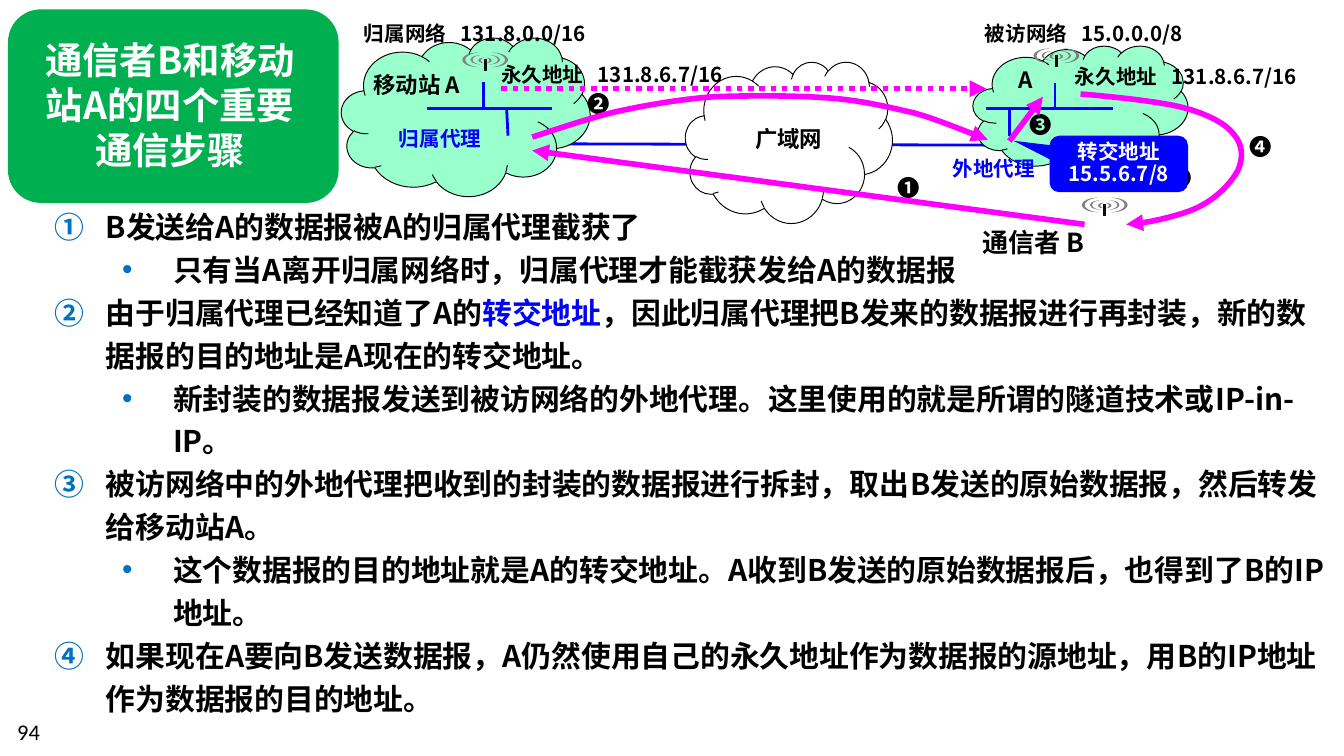
from lxml import etree
from pptx import Presentation
from pptx.dml.color import RGBColor
from pptx.enum.dml import MSO_LINE
from pptx.enum.shapes import MSO_CONNECTOR, MSO_SHAPE
from pptx.enum.text import MSO_ANCHOR, PP_ALIGN
from pptx.oxml.ns import qn
from pptx.util import Inches, Pt

LEFT, CENTER = PP_ALIGN.LEFT, PP_ALIGN.CENTER
MIDDLE = MSO_ANCHOR.MIDDLE
STRAIGHT = MSO_CONNECTOR.STRAIGHT
DOTS = MSO_LINE.ROUND_DOT
ROUND, CLOUD, MOON = MSO_SHAPE.ROUNDED_RECTANGLE, MSO_SHAPE.CLOUD, MSO_SHAPE.MOON
CALLOUT = MSO_SHAPE.ROUNDED_RECTANGULAR_CALLOUT

HEI = "Noto Sans CJK SC"
COLORS = {
    "black": "000000", "white": "FFFFFF", "green": "00B050", "mint": "99FFCC",
    "blue": "0000FF", "bullet": "0070C0", "pink": "FF00FF", "gray": "808080",
    "pole": "0D0D0D",
}

TITLE = "通信者B和移动站A的四个重要通信步骤"
# level, runs of (text, color)
STEPS = [
    (0, [("B发送给A的数据报被A的归属代理截获了", "black")]),
    (1, [("只有当A离开归属网络时，归属代理才能截获发给A的数据报", "black")]),
    (0, [("由于归属代理已经知道了A的", "black"), ("转交地址", "blue"),
         ("，因此归属代理把B发来的数据报进行再封装，新的数据报的目的地址是A现在的转交地址。",
          "black")]),
    (1, [("新封装的数据报发送到被访网络的外地代理。这里使用的就是所谓的隧道技术或IP-in-IP。",
          "black")]),
    (0, [("被访网络中的外地代理把收到的封装的数据报进行拆封，取出B发送的原始数据报，然后转发给移动站A。",
          "black")]),
    (1, [("这个数据报的目的地址就是A的转交地址。A收到B发送的原始数据报后，也得到了B的IP地址。",
          "black")]),
    (0, [("如果现在A要向B发送数据报，A仍然使用自己的永久地址作为数据报的源地址，用B的IP地址作为数据报的目的地址。",
          "black")]),
]
CLOUDS = [
    ((5.1, 0.46, 1.54, 1.2), "white"),
    ((2.54, 0.28, 1.85, 1.18), "mint"),
    ((7.24, 0.34, 1.6, 0.95), "mint"),
]
# box, text, size, color
LABELS = [
    ((2.61, 0.11, 1.87, 0.29), "归属网络\t131.8.0.0/16", 11, "black"),
    ((3.63, 0.41, 1.87, 0.29), "永久地址\t131.8.6.7/16", 11, "black"),
    ((7.23, 0.11, 1.68, 0.29), "被访网络\t15.0.0.0/8", 11, "black"),
    ((7.9, 0.43, 1.87, 0.29), "永久地址\t131.8.6.7/16", 11, "black"),
    ((2.87, 0.89, 0.82, 0.29), "归属代理", 11, "blue"),
    ((6.99, 1.11, 0.82, 0.29), "外地代理", 11, "blue"),
    ((2.68, 0.48, 0.95, 0.3), "移动站 A", 12, "black"),
    ((7.48, 0.44, 0.33, 0.3), "A", 12, "black"),
    ((5.52, 0.88, 0.71, 0.3), "广域网", 12, "black"),
    ((6.58, 1.25, 0.35, 0.3), "❶", 12, "black"),
    ((4.27, 0.62, 0.35, 0.3), "❷", 12, "black"),
    ((7.56, 0.78, 0.35, 0.3), "❸", 12, "black"),
    ((8.6, 1.17, 0.35, 0.3), "❹", 12, "black"),
    ((9.2, 0.94, 0.35, 0.3), "❹", 12, "black"),
]
TRUNK = (4.02, 1.07, 7.41, 1.08)
WIRES = [
    (3.6, 0.61, 3.6, 0.81), (4.11, 0.81, 3.18, 0.81), (3.77, 0.81, 3.78, 1.01),
    (7.85, 0.62, 7.85, 0.81), (8.28, 0.81, 7.34, 0.81), (7.51, 0.81, 7.51, 1.01),
]
# ends, dash
ARROWS = [
    ((7.51, 1.05, 7.76, 0.72), None),
    ((3.73, 0.66, 7.34, 0.66), DOTS),
    ((8.07, 1.67, 3.96, 1.12), None),
]
# Bezier chains: a start, then two controls and an end for each part
CURVES = [
    [(3.96, 1.02), (4.06, 0.99), (4.37, 0.88), (4.59, 0.83), (4.82, 0.78),
     (5.05, 0.74), (5.31, 0.72), (5.58, 0.71), (5.93, 0.71), (6.18, 0.73),
     (6.43, 0.75), (6.62, 0.8), (6.8, 0.84), (6.98, 0.89), (7.16, 0.97),
     (7.25, 1), (7.34, 1.03), (7.33, 1.03), (7.35, 1.04)],
    [(8.04, 0.7), (8.17, 0.71), (8.61, 0.75), (8.8, 0.8), (8.99, 0.85),
     (9.12, 0.92), (9.18, 1), (9.25, 1.08), (9.25, 1.18), (9.21, 1.27),
     (9.16, 1.36), (9.06, 1.47), (8.92, 1.54), (8.78, 1.61), (8.49, 1.67),
     (8.38, 1.67)],
]
MASTS = [(3.61, 0.39), (7.86, 0.36), (8.22, 1.47)]  # middle, top
# gap from the middle, drop, width, height, thickness
WAVES = [(0.05, 0, 0.12, 0.11, 0.18), (0.03, 0.02, 0.08, 0.07, 0.18),
         (0.01, 0.04, 0.04, 0.04, 0.42)]

deck = Presentation()
deck.slide_width, deck.slide_height = Inches(10), Inches(10 * 9 / 16)
slide = deck.slides.add_slide(deck.slide_layouts[6])
shapes = slide.shapes


def rgb(name):
    return RGBColor.from_string(COLORS[name])


def add_run(para, text, size, color, font=HEI, bold=True):
    run = para.add_run()
    run.text = text
    face = run.font
    face.size, face.bold, face.name = Pt(size), bold, font
    face.color.rgb = rgb(color)
    etree.SubElement(run._r.rPr, qn("a:ea"), typeface=font)


def add_box(box, wrap=False):
    frame = shapes.add_textbox(*map(Inches, box)).text_frame
    frame.word_wrap = wrap
    return frame


def add_text(frame, text, size, color, pitch, align=CENTER):
    para = frame.paragraphs[0]
    para.alignment, para.line_spacing = align, Pt(pitch)
    if "\t" in text:
        tabs = etree.SubElement(para._p.get_or_add_pPr(), qn("a:tabLst"))
        etree.SubElement(tabs, qn("a:tab"), pos=str(Inches(0.72)), algn="l")
    add_run(para, text, size, color)


def add_form(kind, box, fill, edge=None, adjust=()):
    form = shapes.add_shape(kind, *map(Inches, box))
    form.shadow.inherit = False
    form.fill.solid()
    form.fill.fore_color.rgb = rgb(fill)
    if edge:
        form.line.color.rgb, form.line.width = rgb(edge), Pt(0.5)
    else:
        form.line.fill.background()
    for i, value in enumerate(adjust):
        form.adjustments[i] = value
    return form


def set_line(form, color, width, dash=None, head=False):
    form.line.color.rgb, form.line.width = rgb(color), Pt(width)
    if dash:
        form.line.dash_style = dash
    if head:
        ln = form._element.spPr.find(qn("a:ln"))
        etree.SubElement(ln, qn("a:tailEnd"), type="triangle")


def add_line(ends, color, width, dash=None, head=False):
    line = shapes.add_connector(STRAIGHT, *map(Inches, ends))
    set_line(line, color, width, dash, head)
    etree.SubElement(line._element.spPr, qn("a:effectLst"))


def add_curve(knots, steps=8):
    dots = []
    for i in range(0, len(knots) - 1, 3):
        for k in range(1, steps + 1):
            t = k / steps
            parts = ((1 - t) ** 3, 3 * t * (1 - t) ** 2, 3 * t * t * (1 - t), t ** 3)
            dots.append(tuple(
                Inches(sum(w * p[axis] for w, p in zip(parts, knots[i:i + 4])))
                for axis in (0, 1)))
    pen = shapes.build_freeform(*map(Inches, knots[0]))
    pen.add_line_segments(dots, close=False)
    curve = pen.convert_to_shape()
    curve.shadow.inherit = False
    curve.fill.background()
    set_line(curve, "pink", 3, head=True)


def add_mast(mid, top):
    add_line((mid, top + 0.05, mid, top + 0.14), "pole", 1.5)
    for gap, drop, wide, high, thick in WAVES:
        for x, flip in ((mid - gap - wide, "0"), (mid + gap, "1")):
            moon = add_form(MOON, (x, top + drop, wide, high), "gray", adjust=[thick])
            moon._element.spPr.find(qn("a:xfrm")).set("flipH", flip)


def add_steps():
    frame = add_box((0.31, 1.45, 9.66, 3.94), wrap=True)
    for i, (level, runs) in enumerate(STEPS):
        para = frame.paragraphs[0] if i == 0 else frame.add_paragraph()
        para.level = level
        props = para._p.get_or_add_pPr()
        props.set("marL", str(Inches(0.88 if level else 0.38)))
        props.set("indent", str(Inches(-0.38)))
        tint = etree.SubElement(props, qn("a:buClr"))
        etree.SubElement(tint, qn("a:srgbClr"), val=COLORS["bullet"])
        if level:
            etree.SubElement(props, qn("a:buFont"), typeface="Arial")
            etree.SubElement(props, qn("a:buChar"), char="•")
        else:
            etree.SubElement(props, qn("a:buAutoNum"), type="circleNumDbPlain")
        para.line_spacing = Pt(23)
        for text, color in runs:
            add_run(para, text, 16, color)


add_steps()
add_form(ROUND, (0.06, 0.07, 2.46, 1.44), "green", adjust=[0.17])
add_text(add_box((0.22, 0.23, 2.09, 1.11), True), TITLE, 20, "white", 24)
page = add_box((0.03, 5.29, 2.33, 0.3), True)
page.vertical_anchor = MIDDLE
add_run(page.paragraphs[0], "94", 12, "black", "Calibri", False)

add_line(TRUNK, "blue", 1.5)
for box, fill in CLOUDS:
    add_form(CLOUD, box, fill, "black")
for ends in WIRES:
    add_line(ends, "blue", 1.5)
for box, text, size, color in LABELS:
    add_text(add_box(box), text, size, color, size * 1.2, LEFT)
add_text(add_box((7.2, 1.64, 0.98, 0.34), True), "通信者 B", 14, "black", 16.5)

care = add_form(CALLOUT, (7.81, 1.01, 1.03, 0.42), "blue", adjust=[-0.76, -0.41, 0.17])
frame = care.text_frame
frame.vertical_anchor, frame.word_wrap = MIDDLE, True
frame.margin_top = frame.margin_bottom = 0
add_text(frame, "转交地址 15.5.6.7/8", 11, "white", 11.8)

for ends, dash in ARROWS:
    add_line(ends, "pink", 3, dash, True)
for knots in CURVES:
    add_curve(knots)
for mid, top in MASTS:
    add_mast(mid, top)

deck.save("out.pptx")
